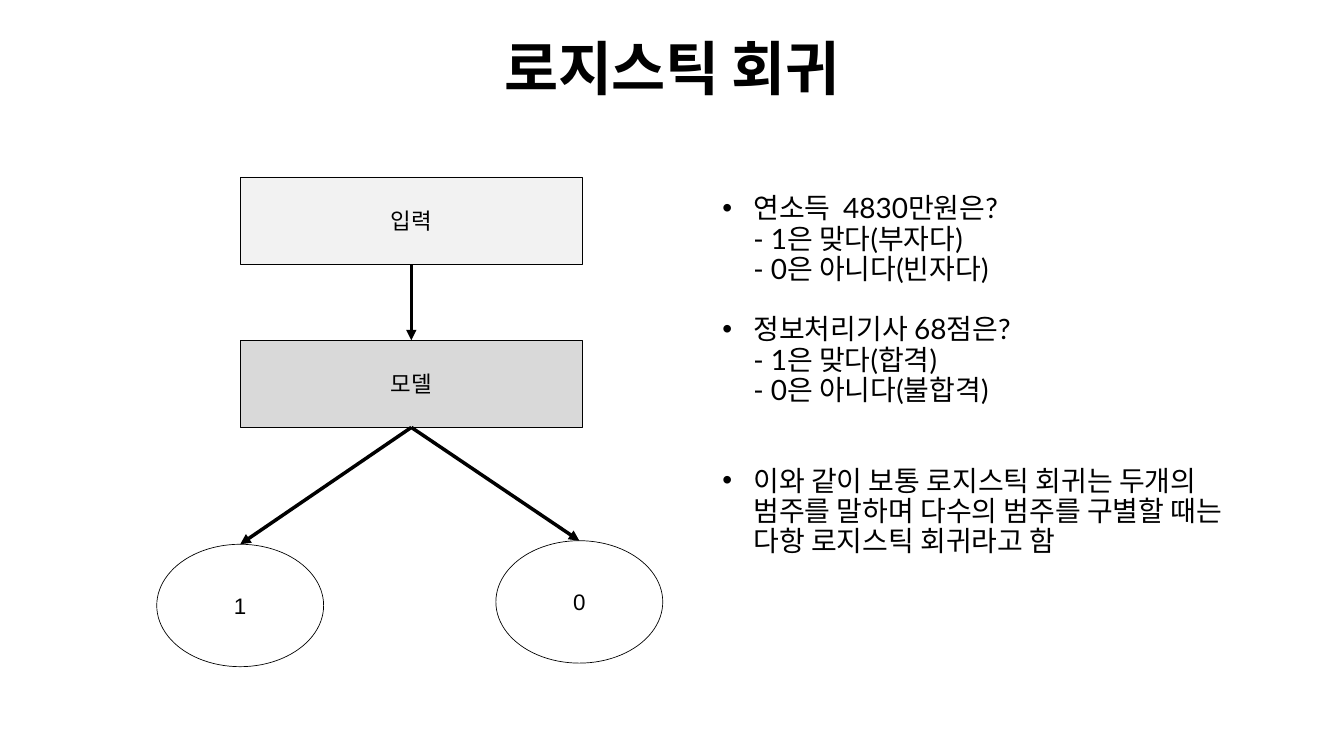
from dataclasses import dataclass

from lxml import etree
from pptx import Presentation
from pptx.dml.color import RGBColor
from pptx.enum.shapes import MSO_CONNECTOR, MSO_SHAPE
from pptx.enum.text import MSO_ANCHOR, MSO_AUTO_SIZE, PP_ALIGN
from pptx.oxml.ns import qn
from pptx.util import Cm, Pt

RECTANGLE = MSO_SHAPE.RECTANGLE
OVAL = MSO_SHAPE.OVAL
STRAIGHT = MSO_CONNECTOR.STRAIGHT
CENTER = PP_ALIGN.CENTER
LEFT = PP_ALIGN.LEFT
TOP = MSO_ANCHOR.TOP
MIDDLE = MSO_ANCHOR.MIDDLE
NO_AUTO_SIZE = MSO_AUTO_SIZE.NONE
TOP_SIDE, BOTTOM_SIDE = 0, 2
TITLE_ONLY = 5


@dataclass(frozen=True)
class Theme:
    ink: RGBColor = RGBColor(0, 0, 0)
    white: RGBColor = RGBColor(255, 255, 255)
    input_fill: RGBColor = RGBColor(0xF2, 0xF2, 0xF2)
    model_fill: RGBColor = RGBColor(0xD9, 0xD9, 0xD9)
    heading_font: str = "Arial"
    body_font: str = "Lato"
    title_size: int = 84
    body_size: int = 40
    node_size: int = 32
    outline: int = 1
    arrow: int = 5


THEME = Theme()

EXAMPLES = [
    ("연소득  4830만원은?", ["- 1은 맞다(부자다)", "- 0은 아니다(빈자다)"], 0),
    ("정보처리기사 68점은?", ["- 1은 맞다(합격)", "- 0은 아니다(불합격)"], 1),
    ("이와 같이 보통 로지스틱 회귀는 두개의 범주를 말하며 "
     "다수의 범주를 구별할 때는 다항 로지스틱 회귀라고 함", [], 2),
]


def prepare_frame(shape, anchor):
    frame = shape.text_frame
    frame.word_wrap = True
    frame.auto_size = NO_AUTO_SIZE
    frame.vertical_anchor = anchor
    frame.margin_left = frame.margin_right = Cm(0.15)
    frame.margin_top = frame.margin_bottom = Cm(0.15)
    return frame


def write_text(paragraph, text, *, size, font=THEME.heading_font, bold=False,
               align=CENTER, line_spacing=1.0, space_before=0, tracking=None):
    paragraph.alignment = align
    paragraph.line_spacing = line_spacing
    paragraph.space_before = Pt(space_before)
    run = paragraph.add_run()
    run.text = text
    run.font.name = font
    run.font.size = Pt(size)
    run.font.bold = bold
    run.font.color.rgb = THEME.ink
    if tracking is not None:
        run.font._element.set("spc", str(round(tracking * 100)))


def set_indent(paragraph, bulleted):
    indent = Cm(1.57)
    properties = paragraph._p.get_or_add_pPr()
    properties.set("marL", str(indent))
    properties.set("indent", str(-indent if bulleted else 0))
    if bulleted:
        font = etree.SubElement(properties, qn("a:buFont"))
        font.set("typeface", "Arial")
        etree.SubElement(properties, qn("a:buChar")).set("char", "•")
    else:
        etree.SubElement(properties, qn("a:buNone"))


def add_node(slide, kind, text, fill, left, top, width, height):
    shape = slide.shapes.add_shape(kind, Cm(left), Cm(top), Cm(width), Cm(height))
    shape.shadow.inherit = False
    shape.fill.solid()
    shape.fill.fore_color.rgb = fill
    shape.line.color.rgb = THEME.ink
    shape.line.width = Pt(THEME.outline)
    frame = prepare_frame(shape, MIDDLE)
    write_text(frame.paragraphs[0], text, size=THEME.node_size)
    return shape


def add_arrow(slide, source, target):
    connector = slide.shapes.add_connector(STRAIGHT, 0, 0, 0, 0)
    connector.begin_connect(source, BOTTOM_SIDE)
    connector.end_connect(target, TOP_SIDE)
    connector.line.color.rgb = THEME.ink
    connector.line.width = Pt(THEME.arrow)
    line = connector.line._get_or_add_ln()
    etree.SubElement(line, qn("a:tailEnd")).set("type", "triangle")
    etree.SubElement(connector._element.spPr, qn("a:effectLst"))


def place_title(slide, left, top, width, height):
    title = slide.shapes.title
    title.left, title.top = Cm(left), Cm(top)
    title.width, title.height = Cm(width), Cm(height)
    frame = prepare_frame(title, TOP)
    write_text(frame.paragraphs[0], "로지스틱 회귀", size=THEME.title_size,
               bold=True, line_spacing=0.8, tracking=-0.8)


def draw_model_diagram(slide, left, top, width, height):
    box_width, box_height = 17.25, 4.39
    oval_width, oval_height = 8.41, 6.17
    box_left = left + oval_width / 2
    oval_top = top + height - oval_height

    input_box = add_node(slide, RECTANGLE, "입력", THEME.input_fill,
                         box_left, top, box_width, box_height)
    model_box = add_node(slide, RECTANGLE, "모델", THEME.model_fill,
                         box_left, top + 8.23, box_width, box_height)
    one = add_node(slide, OVAL, "1", THEME.white,
                   left, oval_top, oval_width, oval_height)
    zero = add_node(slide, OVAL, "0", THEME.white, left + width - oval_width,
                    oval_top - 0.18, oval_width, oval_height)

    for source, target in ((input_box, model_box), (model_box, one), (model_box, zero)):
        add_arrow(slide, source, target)


def write_examples(slide, left, top, width, height):
    box = slide.shapes.add_textbox(Cm(left), Cm(top), Cm(width), Cm(height))
    frame = prepare_frame(box, MIDDLE)
    line_height = THEME.body_size * 1.08
    paragraph = frame.paragraphs[0]
    for question, answers, lines_before in EXAMPLES:
        for position, text in enumerate([question, *answers]):
            is_question = position == 0
            if paragraph.runs:
                paragraph = frame.add_paragraph()
            write_text(paragraph, text, size=THEME.body_size, font=THEME.body_font,
                       align=LEFT, line_spacing=0.9,
                       space_before=lines_before * line_height if is_question else 0)
            set_indent(paragraph, is_question)


def main():
    presentation = Presentation()
    presentation.slide_width = Cm(67.73)
    presentation.slide_height = Cm(38.1)
    slide = presentation.slides.add_slide(presentation.slide_layouts[TITLE_ONLY])
    place_title(slide, 3.38, 2.16, 60.96, 4.8)
    draw_model_diagram(slide, 7.9, 8.92, 25.5, 24.68)
    write_examples(slide, 36.25, 9.58, 27.64, 18.75)
    presentation.save("out.pptx")


if __name__ == "__main__":
    main()
